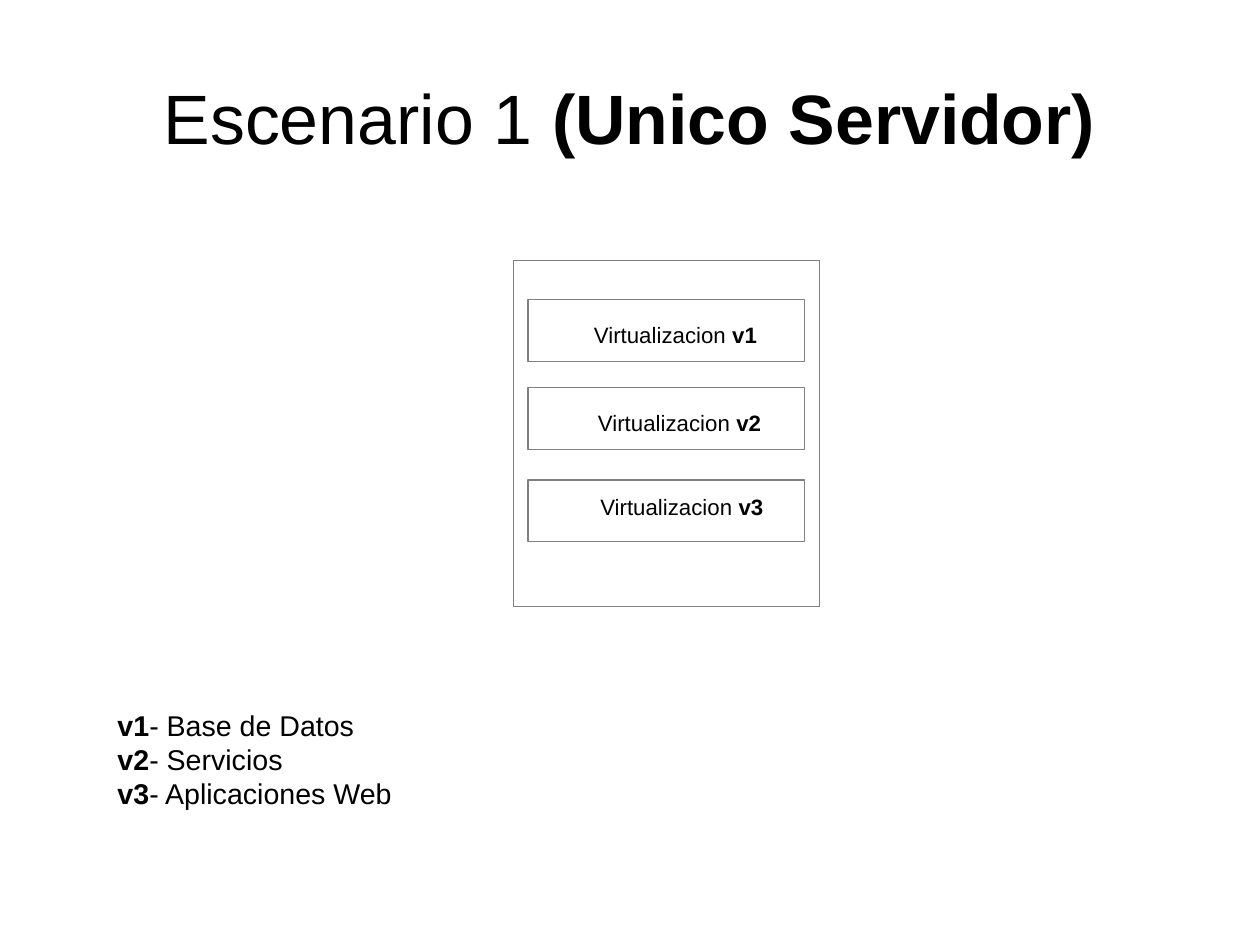
from dataclasses import dataclass

from pptx import Presentation
from pptx import util as u
from pptx.dml.color import RGBColor
from pptx.enum import shapes, text
from pptx.shapes.autoshape import Shape
from pptx.slide import Slide

HUES = {"ink": "000000", "edge": "808080"}
FONT = "Arial"


@dataclass
class Box:
    left: float
    top: float
    width: float
    height: float

    def span(self) -> tuple[u.Length, ...]:
        return tuple(u.Inches(n) for n in (self.left, self.top, self.width, self.height))


@dataclass
class Part:
    words: str
    bold: bool = False


@dataclass
class Guest:
    frame: Box
    label: Box
    name: str
    role: str


def draw_frame(slide: Slide, box: Box) -> None:
    rect = slide.shapes.add_shape(shapes.MSO_SHAPE.RECTANGLE, *box.span())
    rect.shadow.inherit = False
    rect.fill.background()
    rect.line.color.rgb = RGBColor.from_string(HUES["edge"])
    rect.line.width = u.Pt(0)


def draw_text(slide: Slide, box: Box, lines: list[list[Part]], size: int,
              align: text.PP_ALIGN = text.PP_ALIGN.CENTER) -> Shape:
    shape = slide.shapes.add_textbox(*box.span())
    frame = shape.text_frame
    frame.word_wrap = True
    for i, parts in enumerate(lines):
        para = frame.paragraphs[0] if i == 0 else frame.add_paragraph()
        para.text = parts[0].words
        para.alignment = align
        for part in parts[1:]:
            para.add_run().text = part.words
        for run, part in zip(para.runs, parts):
            run.font.name = FONT
            run.font.size = u.Pt(size)
            run.font.bold = part.bold
            run.font.color.rgb = RGBColor.from_string(HUES["ink"])
    return shape


def main() -> None:
    # Page of 28 by 21 cm
    deck = Presentation()
    deck.slide_width = u.Inches(28 / 2.54)
    deck.slide_height = u.Inches(21 / 2.54)
    slide = deck.slides.add_slide(deck.slide_layouts[6])

    # Title
    title = draw_text(slide, Box(0.55, 0.33, 9.92, 1.38),
                      [[Part("Escenario 1 "), Part("(Unico Servidor)", True)]], 44)
    body = title.text_frame
    body.vertical_anchor = text.MSO_ANCHOR.MIDDLE
    body.margin_left = body.margin_right = body.margin_top = body.margin_bottom = 0

    # Server with its virtual machines
    guests = [
        Guest(Box(4.62, 2.62, 2.42, 0.54), Box(5.08, 2.76, 1.66, 0.32), "v1", "Base de Datos"),
        Guest(Box(4.62, 3.39, 2.42, 0.54), Box(5.12, 3.53, 1.65, 0.54), "v2", "Servicios"),
        Guest(Box(4.62, 4.2, 2.42, 0.54), Box(5.12, 4.27, 1.69, 0.54), "v3", "Aplicaciones Web"),
    ]
    draw_frame(slide, Box(4.49, 2.28, 2.68, 3.03))
    for guest in guests:
        draw_frame(slide, guest.frame)
        draw_text(slide, guest.label, [[Part("Virtualizacion "), Part(guest.name, True)]], 14)

    # Key to the machines
    key = [[Part(guest.name, True), Part(f"- {guest.role}")] for guest in guests]
    draw_text(slide, Box(0.93, 6.14, 3.16, 1.02), key, 18, text.PP_ALIGN.LEFT)

    deck.save("out.pptx")


if __name__ == "__main__":
    main()
